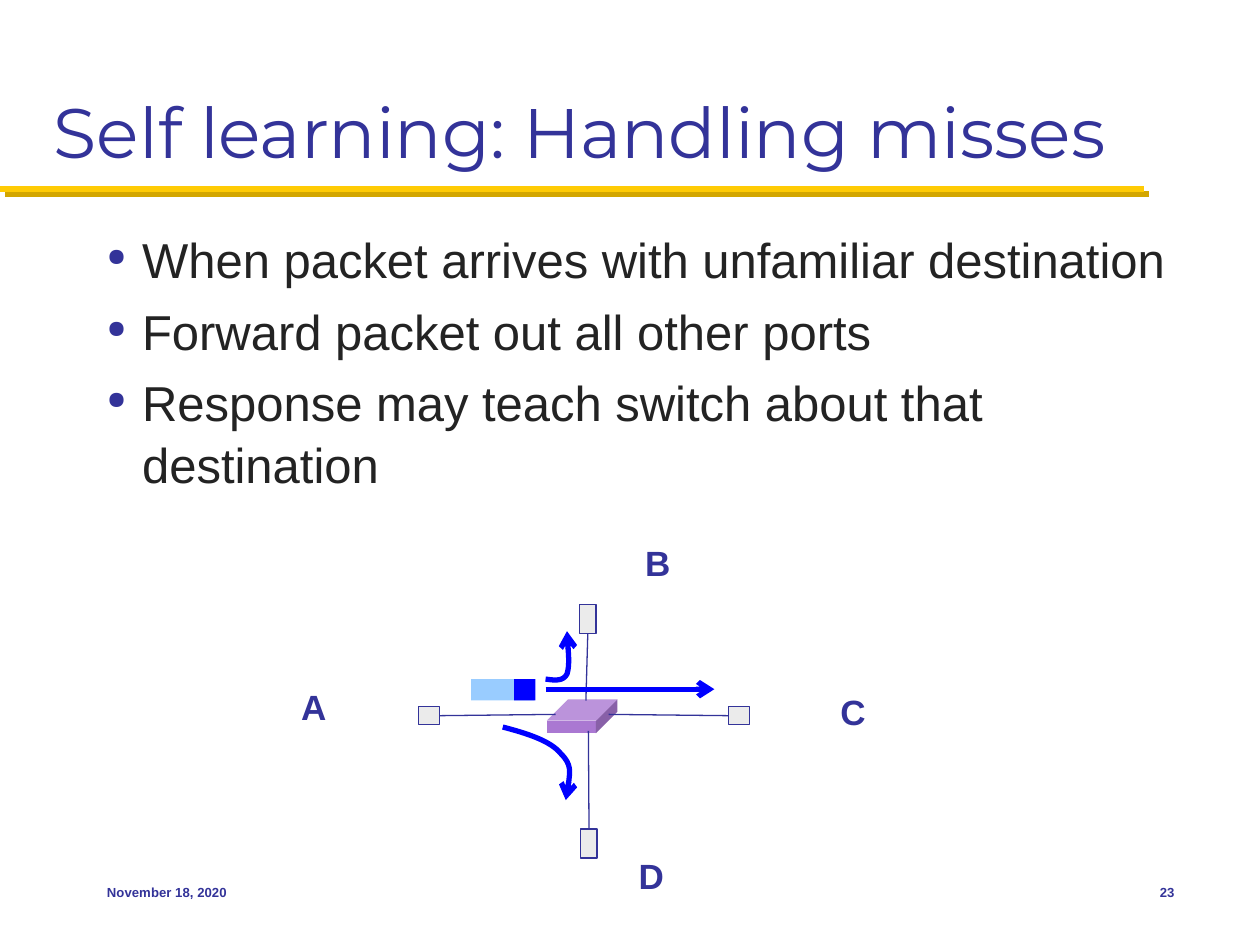
from dataclasses import dataclass

from lxml.etree import SubElement
from pptx import Presentation
from pptx.dml.color import RGBColor
from pptx.enum.shapes import MSO_CONNECTOR as Connector, MSO_SHAPE as Shape
from pptx.enum.text import MSO_ANCHOR as Anchor, PP_ALIGN as Align
from pptx.oxml.ns import qn
from pptx.util import Inches, Pt

COLORS = {
    "navy": "333399", "ink": "232323", "gold": "FFCB05", "gold_shadow": "D3A600",
    "host": "EBEBEB", "switch": "AA78D2", "payload": "99CCFF", "blue": "0000FF",
}
Point = tuple[float, float]
TOP, LEFT, BOTTOM, RIGHT = range(4)


@dataclass
class Host:
    name: str
    box: tuple[float, float, float, float]
    label_at: Point
    side: int
    cable_start: Point
    cable_end: Point


HOSTS = [
    Host("A", (3.32, 5.61, 0.17, 0.14), (2.29, 5.39), RIGHT, (3.49, 5.67), (4.41, 5.67)),
    Host("B", (4.6, 4.8, 0.13, 0.23), (5.02, 4.25), BOTTOM, (4.65, 5.03), (4.65, 5.56)),
    Host("C", (5.78, 5.61, 0.17, 0.14), (6.57, 5.43), LEFT, (5.77, 5.67), (4.83, 5.67)),
    Host("D", (4.61, 6.58, 0.13, 0.23), (4.97, 6.73), TOP, (4.65, 6.55), (4.67, 5.8)),
]
BULLETS = [
    "When packet arrives with unfamiliar destination",
    "Forward packet out all other ports",
    "Response may teach switch about that destination",
]
# Start point, then two control points and an end point for each curve
FLOOD_PATHS = [
    [(4.33, 5.39), (4.4, 5.4), (4.47, 5.41), (4.5, 5.35),
     (4.52, 5.28), (4.51, 5.15), (4.5, 5.01)],
    [(3.99, 5.77), (4.18, 5.82), (4.37, 5.88), (4.45, 5.98),
     (4.54, 6.07), (4.52, 6.21), (4.49, 6.35)],
]


def color(name: str) -> RGBColor:
    return RGBColor.from_string(COLORS[name])


def add_text(slide, lines: list[str], at, *, size: float, font="Arial", ink="navy",
             bold=False, align=Align.LEFT, anchor=Anchor.TOP, wrap=True, bullets=False):
    frame = slide.shapes.add_textbox(*map(Inches, at)).text_frame
    frame.word_wrap = wrap
    frame.vertical_anchor = anchor
    for index, line in enumerate(lines):
        para = frame.add_paragraph() if index else frame.paragraphs[0]
        para.alignment = align
        if bullets:
            para.line_spacing = 1.05
            para.space_before = Pt(5.6 if index else 0)
            add_bullet(para)
        span = para.add_run()
        span.text = line
        span.font.name = font
        span.font.size = Pt(size)
        span.font.bold = bold
        span.font.color.rgb = color(ink)


def add_bullet(para) -> None:
    props = para._p.get_or_add_pPr()
    props.set("marL", str(Inches(0.28)))
    props.set("indent", str(-Inches(0.28)))
    SubElement(SubElement(props, qn("a:buClr")), qn("a:srgbClr"), val=COLORS["navy"])
    SubElement(props, qn("a:buSzPct"), val="50000")
    SubElement(props, qn("a:buChar"), char="●")


def add_block(slide, at, fill: str, outline: str | None = None, kind=Shape.RECTANGLE):
    block = slide.shapes.add_shape(kind, *map(Inches, at))
    block.shadow.inherit = False
    block.fill.solid()
    block.fill.fore_color.rgb = color(fill)
    if outline:
        style_line(block, outline, 0.75)
    else:
        block.line.fill.background()
    return block


def style_line(item, ink: str, width: float, arrow=False) -> None:
    item.line.color.rgb = color(ink)
    item.line.width = Pt(width)
    if arrow:
        SubElement(item.line._get_or_add_ln(), qn("a:tailEnd"), type="arrow")


def add_line(slide, start: Point, end: Point, ink: str, width: float, arrow=False):
    line = slide.shapes.add_connector(Connector.STRAIGHT, *map(Inches, start + end))
    style_line(line, ink, width, arrow)
    SubElement(line._element.spPr, qn("a:effectLst"))
    return line


def add_shadow(line, ink: str) -> None:
    effects = line._element.spPr.find(qn("a:effectLst"))
    shadow = SubElement(effects, qn("a:outerShdw"), dist=str(Pt(4.2)),
                        dir=str(45 * 60000), algn="ctr", rotWithShape="0")
    SubElement(shadow, qn("a:srgbClr"), val=COLORS[ink])


def add_curved_arrow(slide, points: list[Point]) -> None:
    """Draw a polyline through all points, then regroup them as cubic curves."""
    corners = [(Inches(x), Inches(y)) for x, y in points]
    builder = slide.shapes.build_freeform(*corners[0])
    builder.add_line_segments(corners[1:], close=False)
    curve = builder.convert_to_shape()
    curve.shadow.inherit = False
    curve.fill.background()
    style_line(curve, "blue", 3, arrow=True)
    outline = next(curve._element.iter(qn("a:path")))
    segments = outline.findall(qn("a:lnTo"))
    for first in range(0, len(segments), 3):
        bezier = SubElement(outline, qn("a:cubicBezTo"))
        for segment in segments[first:first + 3]:
            bezier.append(segment[0])
            outline.remove(segment)


def add_network(slide) -> None:
    switch = add_block(slide, (4.34, 5.55, 0.56, 0.27), "switch", kind=Shape.CUBE)
    switch.adjustments[0] = 0.63
    for host in HOSTS:
        box = add_block(slide, host.box, "host", "navy")
        cable = add_line(slide, host.cable_start, host.cable_end, "navy", 0.75)
        cable.begin_connect(box, host.side)
        add_text(slide, [host.name], (*host.label_at, 0.4, 0.43), size=20, bold=True,
                 align=Align.CENTER, wrap=False)


def add_packet_flow(slide) -> None:
    add_block(slide, (3.74, 5.39, 0.5, 0.17), "payload")
    add_block(slide, (4.08, 5.39, 0.17, 0.17), "blue")
    for points in FLOOD_PATHS:
        add_curved_arrow(slide, points)
    add_line(slide, (4.33, 5.47), (5.67, 5.47), "blue", 3, arrow=True)


def main() -> None:
    deck = Presentation()
    deck.slide_width, deck.slide_height = Inches(10), Inches(7.5)
    slide = deck.slides.add_slide(deck.slide_layouts[6])

    rule = add_line(slide, (0, 1.5), (9.08, 1.5), "gold", 3.5)
    add_shadow(rule, "gold_shadow")
    add_text(slide, ["Self learning: Handling misses"], (0.33, 0.17, 9.33, 1.25),
             size=40, font="Montserrat", anchor=Anchor.BOTTOM)
    add_text(slide, BULLETS, (0.75, 1.75, 8.67, 4.83), size=28, ink="ink", bullets=True)
    add_network(slide)
    add_packet_flow(slide)
    add_text(slide, ["November 18, 2020"], (0.75, 6.83, 2.08, 0.5), size=7.5, bold=True,
             anchor=Anchor.MIDDLE)
    add_text(slide, ["23"], (8.75, 6.83, 0.67, 0.5), size=7.5, bold=True,
             align=Align.RIGHT, anchor=Anchor.MIDDLE)
    deck.save("out.pptx")


if __name__ == "__main__":
    main()
